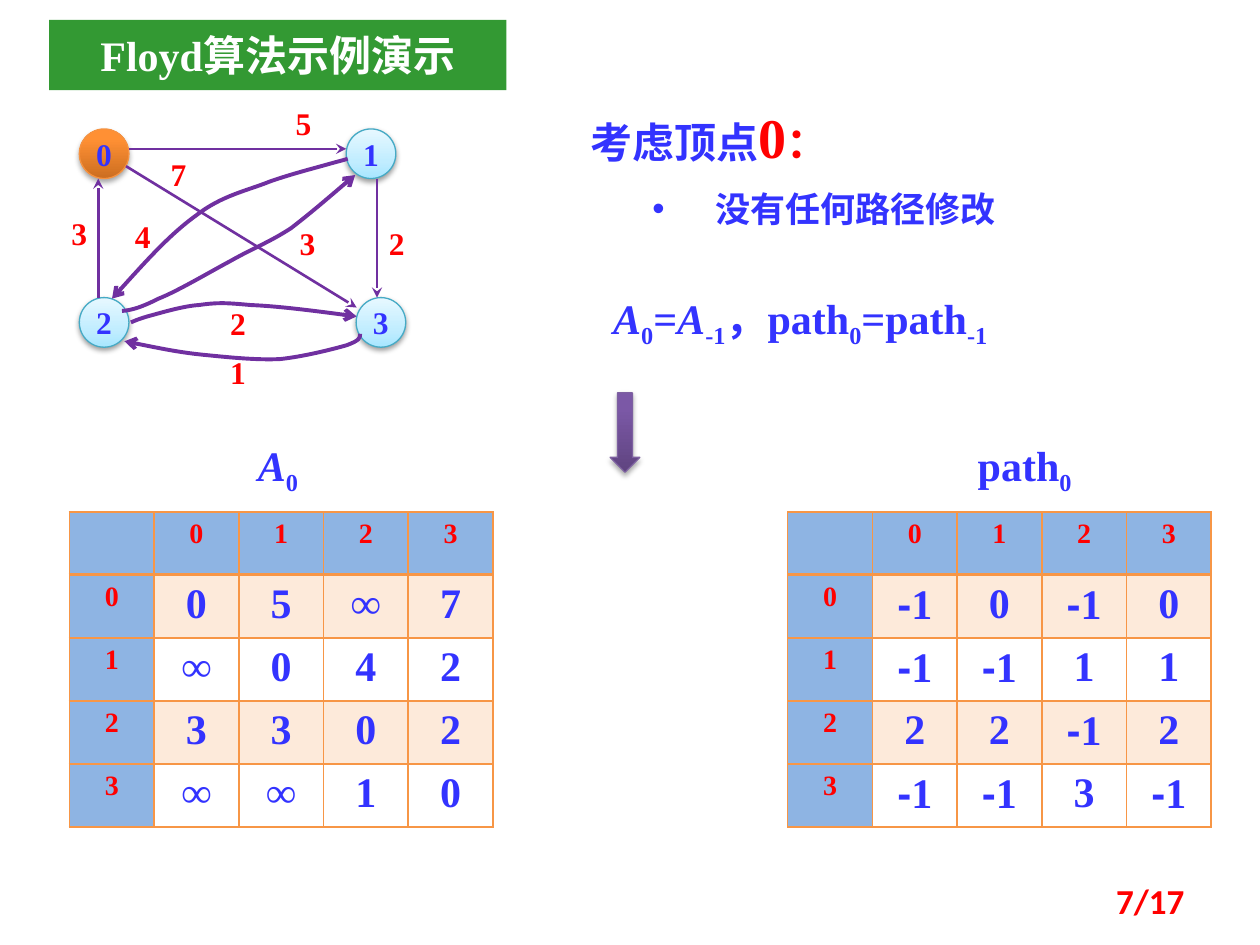
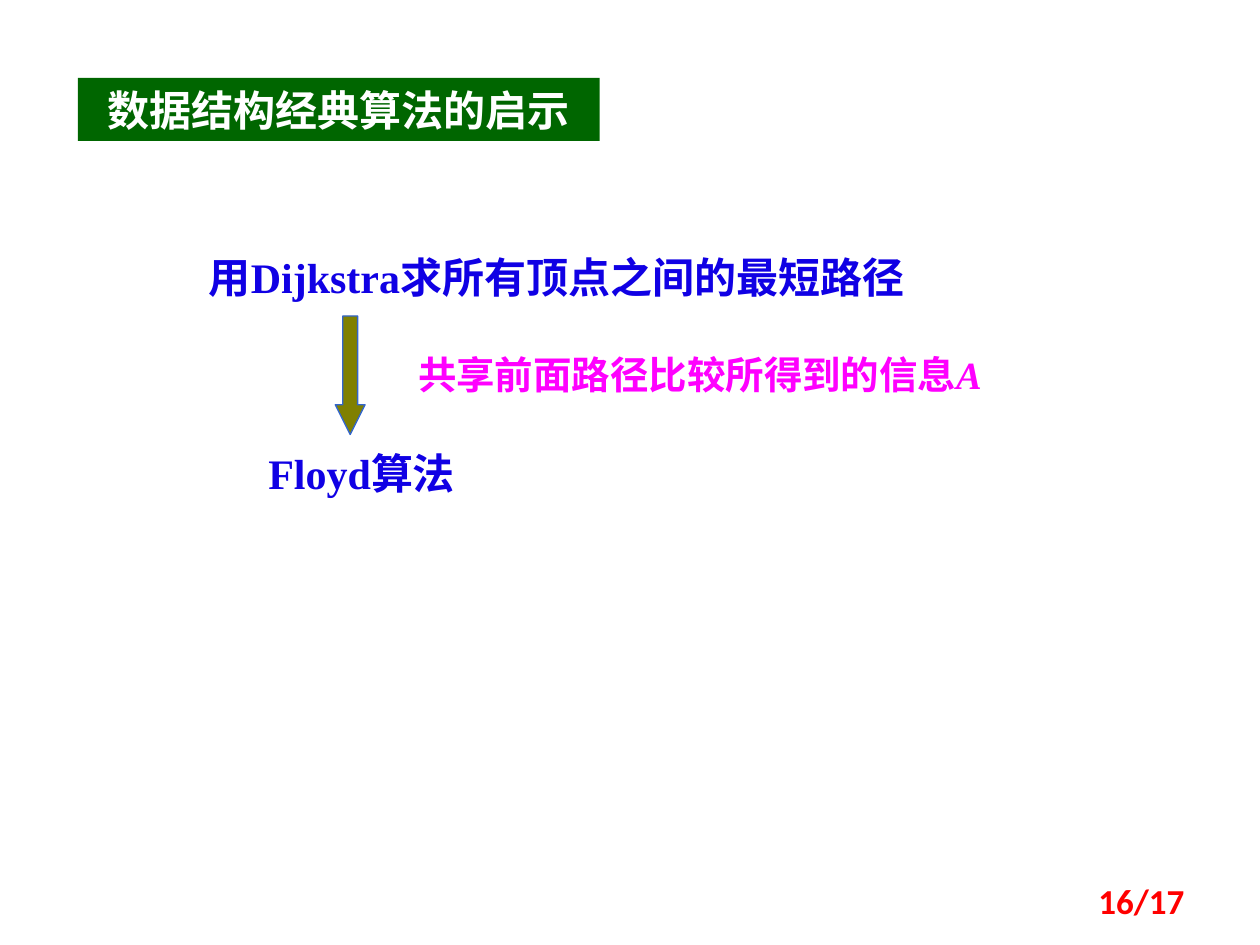
from lxml import etree
from pptx import Presentation
from pptx import util as u
from pptx.dml.color import RGBColor
from pptx.enum import shapes, text
from pptx.oxml import parse_xml
from pptx.oxml.ns import nsdecls, qn

Cm, Pt = u.Cm, u.Pt
KIND = shapes.MSO_SHAPE
ALIGN = text.PP_ALIGN
ANCHOR = text.MSO_ANCHOR

HUE = {
    "green": "339933", "dark": "006600", "white": "FFFFFF", "red": "FF0000",
    "blue": "3333FF", "deep": "1000E4", "pink": "FF00FF", "edge": "7030A0",
    "olive": "808000", "rim": "3366CC", "head": "8EB4E3", "band": "FDEADA",
    "grid": "F79646",
}
SERIF, SANS, PAGE, HAN = "Times New Roman", "Arial", "Calibri", "Noto Sans CJK SC"

LOOKS = {
    "start": ([(0, "CC6E20"), (80, "FF9034"), (100, "FF9136")], "F69240", 35, 1.8),
    "plain": ([(0, "A7E6FF"), (35, "C1EDFF"), (100, "E7F8FF")], "46AAC5", 38, 1.6),
    "arrow": ([(0, "5F4480"), (80, "7B58A6"), (100, "7C57A8")], "7D60A0", 35, 1.8),
}

NODES = [("0", 1.6, 2.6, "start"), ("1", 6.98, 2.6, "plain"),
         ("2", 1.6, 6, "plain"), ("3", 7.18, 6, "plain")]
LINES = [(2.6, 3, 6.98, 3), (1.98, 6, 1.98, 3.6),
         (2.54, 3.35, 7.19, 6.2), (7.6, 3.6, 7.6, 6)]
CURVES = [
    [(7.26, 6.73), (7.26, 6.81), (7.26, 6.86), (6.99, 6.96),
     (6.71, 7.04), (6.12, 7.19), (5.64, 7.24), (5.18, 7.26), (4.67, 7.21),
     (4.17, 7.16), (3.63, 7.11), (3.07, 6.99), (2.51, 6.88)],
    [(2.64, 6.5), (2.69, 6.48), (2.74, 6.45), (2.97, 6.38),
     (3.2, 6.32), (3.68, 6.17), (4.01, 6.15), (4.37, 6.1), (4.52, 6.1),
     (5.05, 6.15), (5.56, 6.17), (6.38, 6.27), (7.19, 6.38)],
    [(7.01, 3.2), (6.93, 3.23), (6.83, 3.25), (6.55, 3.33),
     (6.3, 3.4), (5.87, 3.51), (5.44, 3.66), (5, 3.84), (4.47, 3.94),
     (3.96, 4.34), (3.43, 4.72), (2.84, 5.38), (2.26, 6.02)],
    [(2.46, 6.27), (2.67, 6.25), (2.84, 6.2), (3.2, 6.02),
     (3.58, 5.87), (4.22, 5.49), (4.65, 5.26), (5.11, 5), (5.44, 4.88),
     (5.87, 4.6), (6.27, 4.29), (6.71, 3.91), (7.16, 3.53)],
]
COSTS = [("5", 5.52, 1.98), ("3", 1, 4.2), ("2", 7.4, 4.4), ("7", 3, 3),
         ("3", 5.6, 4.4), ("1", 4.2, 7), ("2", 4.2, 6), ("4", 2.28, 4.26)]

SUB = {"base": -25}
VAR = {"italic": True}
GRIDS = [
    (1.4, (4.95, 1.8), [("A", VAR), ("0", SUB)],
     ["0 5 ∞ 7", "∞ 0 4 2", "3 3 0 2", "∞ ∞ 1 0"]),
    (15.88, (19.46, 2.8), [("path", {}), ("0", SUB)],
     ["-1 0 -1 0", "-1 -1 1 1", "2 2 -1 2", "-1 -1 3 -1"]),
]
STEP = [("考虑顶点", {}), ("0", {"size": 32, "hue": "red"}), ("：", {"hue": "red"})]
RULE = [("A", VAR), ("0", SUB), ("=", {}), ("A", VAR), ("-1", SUB),
        ("，path", {}), ("0", SUB), ("=path", {}), ("-1", SUB)]
NOTES = [
    ((3.96, 4.95, 16.2, 1.27), [("用Dijkstra求所有顶点之间的最短路径", {})], 24, "deep"),
    ((5.16, 8.89, 5, 1.27), [("Floyd算法", {})], 24, "deep"),
    ((8.18, 6.96, 12.47, 1.19),
     [("共享前面路径比较所得到的信息", {}), ("A", VAR)], 22, "pink"),
]


def paint(hue):
    return RGBColor.from_string(HUE.get(hue, hue))


def style(run, size, hue, face=SERIF, italic=False, base=0):
    font = run.font
    font.size, font.name, font.bold = Pt(size), face, True
    font.italic = italic
    font.color.rgb = paint(hue)
    props = run._r.get_or_add_rPr()
    if base:
        props.set("baseline", str(base * 1000))
    if any(ord(c) > 0x2E80 for c in run.text):
        etree.SubElement(props, qn("a:ea")).set("typeface", HAN)


def write(frame, runs, size, hue, align=ALIGN.LEFT, face=SERIF):
    para = frame.paragraphs[0]
    para.alignment = align
    for words, extra in runs:
        run = para.add_run()
        run.text = words
        style(run, **{"size": size, "hue": hue, "face": face, **extra})


def add_text(slide, place, runs, size, hue, align=ALIGN.LEFT, face=SERIF):
    box = slide.shapes.add_textbox(*map(Cm, place))
    box.text_frame.word_wrap = True
    write(box.text_frame, runs, size, hue, align, face)
    return box.text_frame


def add_form(slide, kind, place, fill, line=None):
    form = slide.shapes.add_shape(kind, *map(Cm, place))
    form.shadow.inherit = False
    form.fill.solid()
    form.fill.fore_color.rgb = paint(fill)
    if line:
        form.line.color.rgb = paint(line)
        form.line.width = Pt(0.75)
    else:
        form.line.fill.background()
    return form


def add_glow(slide, kind, place, look):
    stops, rim, alpha, drop = LOOKS[look]
    form = add_form(slide, kind, place, stops[0][1], rim)
    props = form._element.spPr
    marks = "".join(f'<a:gs pos="{at * 1000}"><a:srgbClr val="{hue}"/></a:gs>'
                    for at, hue in stops)
    props.replace(props.find(qn("a:solidFill")), parse_xml(
        f'<a:gradFill {nsdecls("a")} rotWithShape="1"><a:gsLst>{marks}</a:gsLst>'
        '<a:lin ang="16200000" scaled="0"/></a:gradFill>'))
    props.find(qn("a:effectLst")).append(parse_xml(
        f'<a:outerShdw {nsdecls("a")} blurRad="{Pt(3.1)}" dist="{Pt(drop)}" '
        'dir="5400000" rotWithShape="0"><a:srgbClr val="000000">'
        f'<a:alpha val="{alpha * 1000}"/></a:srgbClr></a:outerShdw>'))
    return form


def point(edge, tip, width):
    edge.line.color.rgb = paint("edge")
    edge.line.width = Pt(width)
    props = edge._element.spPr
    etree.SubElement(props.find(qn("a:ln")), qn("a:tailEnd")).set("type", tip)
    if props.find(qn("a:effectLst")) is None:
        etree.SubElement(props, qn("a:effectLst"))


def add_curve(slide, dots):
    dots = [(Cm(x), Cm(y)) for x, y in dots]
    pen = slide.shapes.build_freeform(*dots[0], scale=1.0)
    pen.add_line_segments(dots[1:], close=False)
    edge = pen.convert_to_shape()
    edge.shadow.inherit = False
    edge.fill.background()
    legs = list(edge._element.iter(qn("a:lnTo")))
    trail = legs[0].getparent()
    for i in range(0, len(legs), 3):
        bend = etree.SubElement(trail, qn("a:cubicBezTo"))
        for leg in legs[i:i + 3]:
            bend.append(leg[0])
            trail.remove(leg)
    point(edge, "arrow", 2.25)


def fill_cell(cell, words, row, col):
    head = row == 0 or col == 0
    if head or row % 2:
        cell.fill.solid()
        cell.fill.fore_color.rgb = paint("head" if head else "band")
    else:
        cell.fill.background()
    runs = [(words, {})]
    if words.startswith("-"):
        runs = [("-", {"face": SANS}), (words[1:], {})]
    if words:
        write(cell.text_frame, runs, 16 if head else 24,
              "red" if head else "blue", ALIGN.CENTER)
    props = cell._tc.get_or_add_tcPr()
    for i, side in enumerate(("lnL", "lnR", "lnT", "lnB")):
        thick = (side == "lnB" and row == 0) or (side == "lnT" and row == 1)
        props.insert(i, parse_xml(
            f'<a:{side} {nsdecls("a")} w="{Pt(2 if thick else 1)}"><a:solidFill>'
            f'<a:srgbClr val="{HUE["grid"]}"/></a:solidFill></a:{side}>'))


def add_grid(slide, left, rows):
    names = list("0123")
    cells = [[""] + names] + [[n] + r.split() for n, r in zip(names, rows)]
    count = len(cells)
    table = slide.shapes.add_table(count, count, Cm(left), Cm(10.32),
                                   Cm(8.54), Cm(1.27 * count)).table
    table.first_row = table.horz_banding = False
    for r, line in enumerate(cells):
        for c, words in enumerate(line):
            fill_cell(table.cell(r, c), words, r, c)


def add_base(deck, title, place, fill, face, pad, page):
    slide = deck.slides.add_slide(deck.slide_layouts[6])
    band = add_form(slide, KIND.RECTANGLE, place, fill)
    frame = band.text_frame
    frame.vertical_anchor = ANCHOR.TOP
    frame.margin_top = frame.margin_bottom = Cm(pad)
    frame.margin_left = frame.margin_right = 0
    write(frame, [(title, {})], 24, "white", ALIGN.CENTER, face)
    foot = add_text(slide, (18.21, 17.65, 5.92, 1.02), [(page, {})], 20, "red",
                    ALIGN.RIGHT, PAGE)
    foot.vertical_anchor = ANCHOR.MIDDLE
    return slide


def add_graph(slide):
    for name, x, y, look in NODES:
        node = add_glow(slide, KIND.OVAL, (x, y, 1, 1), look)
        frame = node.text_frame
        frame.word_wrap = False
        frame.vertical_anchor = ANCHOR.MIDDLE
        write(frame, [(name, {})], 18, "blue", ALIGN.CENTER)
    for ends in LINES:
        edge = slide.shapes.add_connector(shapes.MSO_CONNECTOR.STRAIGHT,
                                          *map(Cm, ends))
        point(edge, "stealth", 1.5)
    for dots in CURVES:
        add_curve(slide, dots)
    for cost, x, y in COSTS:
        add_text(slide, (x, y, 1.2, 1.02), [(cost, {})], 18, "red", ALIGN.CENTER)


def add_demo(deck):
    slide = add_base(deck, "Floyd算法示例演示", (0.99, 0.4, 9.22, 1.42),
                     "green", SERIF, 0.2, "7/17")
    add_graph(slide)
    for left, (x, width), runs, rows in GRIDS:
        add_text(slide, (x, 8.73, width, 1.27), runs, 24, "blue")
        add_grid(slide, left, rows)
    frame = add_text(slide, (11.91, 2.06, 5.66, 1.37), STEP, 24, "blue")
    frame.margin_left = frame.margin_right = 0
    frame.margin_top = frame.margin_bottom = 0
    frame = add_text(slide, (12.9, 3.65, 7.75, 1.11),
                     [("没有任何路径修改", {})], 20, "blue")
    props = frame.paragraphs[0]._p.get_or_add_pPr()
    props.set("marL", str(Cm(1.27)))
    props.set("indent", str(Cm(-1.27)))
    etree.SubElement(props, qn("a:buFont")).set("typeface", SANS)
    etree.SubElement(props, qn("a:buChar")).set("char", "•")
    add_text(slide, (12.11, 5.77, 9.12, 1.27), RULE, 24, "blue")
    add_glow(slide, KIND.DOWN_ARROW, (12.3, 7.92, 0.6, 1.6), "arrow")


def add_lesson(deck):
    slide = add_base(deck, "数据结构经典算法的启示", (1.57, 1.57, 10.52, 1.27),
                     "dark", HAN, 0.13, "16/17")
    for place, runs, size, hue in NOTES:
        add_text(slide, place, runs, size, hue)
    arrow = add_form(slide, KIND.DOWN_ARROW, (6.76, 6.37, 0.6, 2.39),
                     "olive", "rim")
    arrow.adjustments[1] = 1


def main():
    deck = Presentation()
    deck.slide_width, deck.slide_height = Cm(25.4), Cm(19.05)
    add_demo(deck)
    add_lesson(deck)
    deck.save("out.pptx")


if __name__ == "__main__":
    main()
